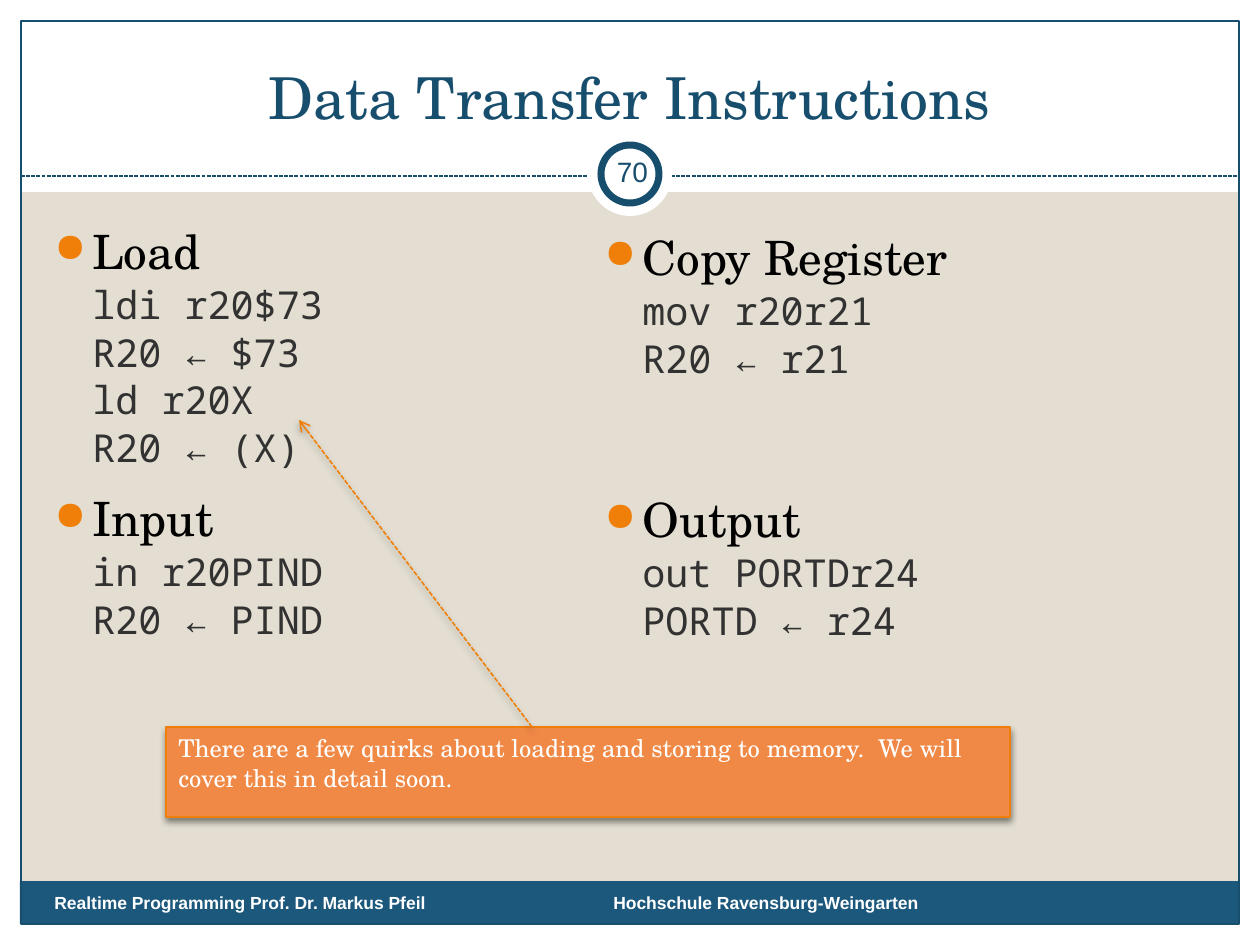
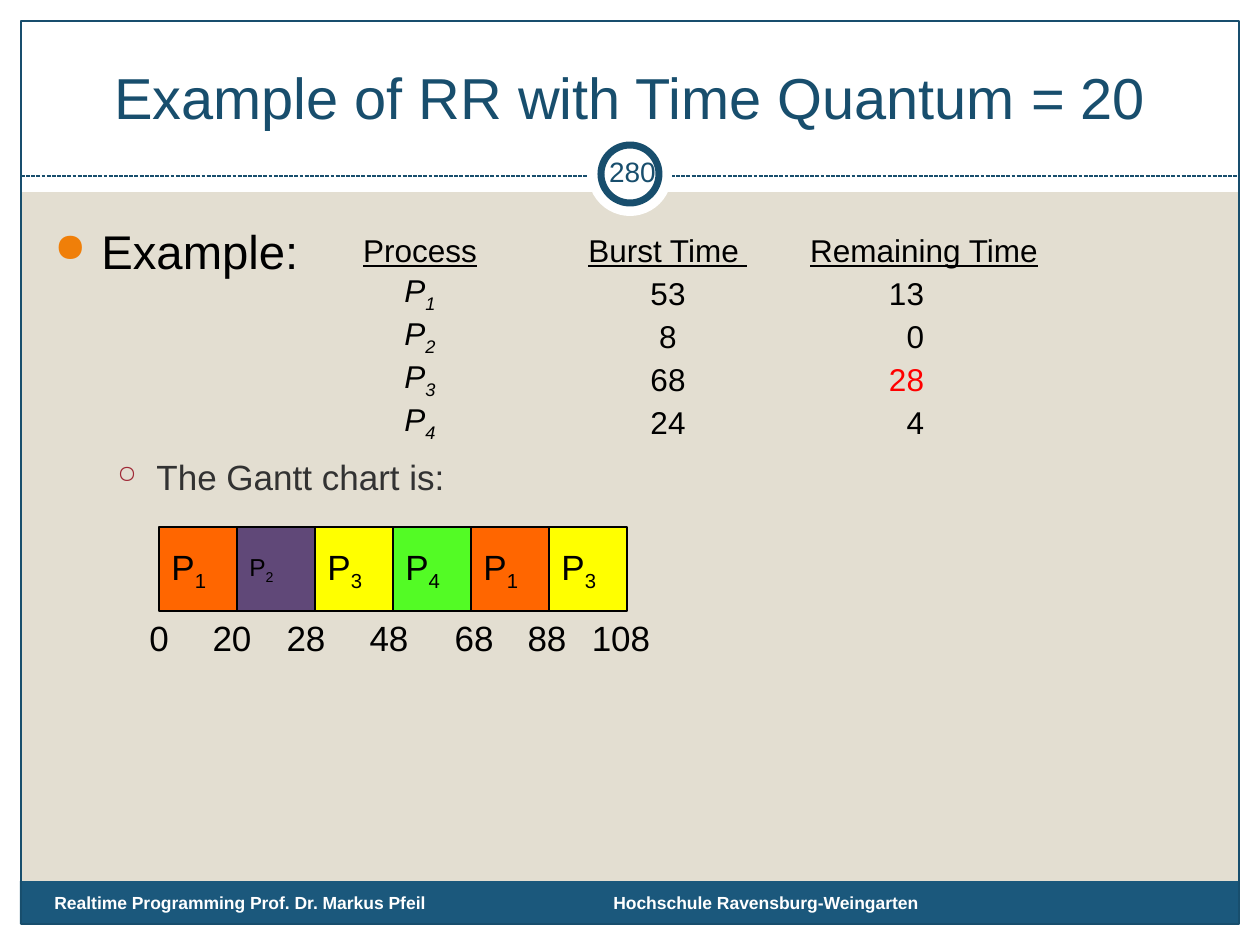
"""Build two lecture slides: data transfer instructions and a round-robin example."""
from lxml.etree import SubElement
from pptx import Presentation
from pptx.dml.color import RGBColor
from pptx.enum.dml import MSO_LINE
from pptx.enum.shapes import MSO_CONNECTOR, MSO_SHAPE
from pptx.enum.text import MSO_ANCHOR, PP_ALIGN
from pptx.oxml.ns import qn
from pptx.util import Emu, Pt

SANS, SERIF, MONO = "Arial", "TeX Gyre Schola", "Noto Sans Mono"
BLACK, WHITE, SAND = "000000", "FFFFFF", "E3DED1"
NAVY, FOOTER_BLUE, ORANGE = "184E6D", "1B587C", "F07F09"
BODY_GREY, DARK_RED, RED = "323232", "9F2936", "FF0000"

WIDTH, HEIGHT = 1260, 945
WHITE_BANDS = [(0, 924, WIDTH, 21), (0, 0, WIDTH, 192),
               (0, 0, 21, HEIGHT), (1239, 0, 21, HEIGHT)]
FOOTERS = [(42, "Realtime Programming Prof. Dr. Markus Pfeil"),
           (601, "Hochschule Ravensburg-Weingarten")]

INSTRUCTIONS = [
    (42, 216, "Load", ["ldi r20$73", "R20 ← $73", "ld r20X", "R20 ← (X)"]),
    (592, 222, "Copy Register", ["mov r20r21", "R20 ← r21"]),
    (42, 483, "Input", ["in r20PIND", "R20 ← PIND"]),
    (592, 484, "Output", ["out PORTDr24", "PORTD ← r24"]),
]
QUIRKS = ("There are a few quirks about loading and storing to memory.  "
          "We will cover this in detail soon.")

PROCESS_HEADS = ["Process", "Burst Time ", "Remaining Time"]
PROCESSES = [("P_1", "53", "13"), ("P_2", "8", "0"),
             ("P_3", "68", "28"), ("P_4", "24", "4")]
PROCESS_WIDTHS = [260, 236, 276]
HIGHLIGHT = "28"

GANTT = [("P_1", "FF6600", 20), ("P_2", "604878", 14), ("P_3", "FFFF00", 20),
         ("P_4", "53FB25", 20), ("P_1", "FF6600", 20), ("P_3", "FFFF00", 20)]
GANTT_TIMES = [("0", 159), ("20", 232), ("28", 306), ("48", 389),
               ("68", 474), ("88", 547), ("108", 621)]
GANTT_LEFT, GANTT_TOP, GANTT_STEP, GANTT_HEIGHT = 159, 527, 78, 84
NO_TABLE_STYLE = "{2D5ABB26-0587-4C30-8999-92F81FD0307C}"


def px(length):
    return Emu(round(length * 914400 / 126))


def rgb(color):
    return RGBColor.from_string(color)


def put(frame, text, size=20, color=BLACK, font=SANS, bold=False, italic=False,
        underline=False, align=PP_ALIGN.LEFT, before=0, margin=0, hang=0, bullet=None):
    """Add a paragraph; the part after an underscore becomes a subscript."""
    paragraph = frame.paragraphs[0]
    if paragraph.runs:
        paragraph = frame.add_paragraph()
    paragraph.alignment = align
    paragraph.space_before = Pt(before)
    props = paragraph._p.get_or_add_pPr()
    props.set("marL", str(px(margin)))
    props.set("indent", str(px(-hang)))
    if bullet:
        char, bullet_color, percent = bullet
        SubElement(SubElement(props, qn("a:buClr")), qn("a:srgbClr"), val=bullet_color)
        SubElement(props, qn("a:buSzPct"), val=str(percent * 1000))
        SubElement(props, qn("a:buChar"), char=char)
    for level, part in enumerate(text.split("_")):
        run = paragraph.add_run()
        run.text = part
        run.font.name, run.font.size = font, Pt(size)
        run.font.bold, run.font.italic, run.font.underline = bold, italic, underline
        run.font.color.rgb = rgb(color)
        if level:
            run._r.get_or_add_rPr().set("baseline", "-25000")


def text_area(slide, box, anchor=MSO_ANCHOR.TOP, wrap=True):
    frame = slide.shapes.add_textbox(*map(px, box)).text_frame
    frame.word_wrap, frame.vertical_anchor = wrap, anchor
    return frame


def add_preset(slide, box, fill=None, line=None, weight=0.75, kind=MSO_SHAPE.RECTANGLE):
    preset = slide.shapes.add_shape(kind, *map(px, box))
    preset.shadow.inherit = False
    if fill:
        preset.fill.solid()
        preset.fill.fore_color.rgb = rgb(fill)
    else:
        preset.fill.background()
    if line:
        preset.line.color.rgb = rgb(line)
        preset.line.width = Pt(weight)
    else:
        preset.line.fill.background()
    return preset


def add_dashed(slide, start, end, color, weight):
    dashed = slide.shapes.add_connector(MSO_CONNECTOR.STRAIGHT, *map(px, start + end))
    dashed.line.color.rgb = rgb(color)
    dashed.line.width = Pt(weight)
    dashed.line.dash_style = MSO_LINE.SQUARE_DOT
    SubElement(dashed._element.spPr, qn("a:effectLst"))
    return dashed


def cast_shadow(item, opacity):
    effects = item._element.spPr.find(qn("a:effectLst"))
    shadow = SubElement(effects, qn("a:outerShdw"), blurRad=str(Pt(4)), dist=str(Pt(2)),
                        dir="5400000", rotWithShape="0")
    tint = SubElement(shadow, qn("a:srgbClr"), val=BLACK)
    SubElement(tint, qn("a:alpha"), val=str(opacity * 1000))


def start_slide(deck, title, number, title_font):
    slide = deck.slides.add_slide(deck.slide_layouts[6])
    slide.background.fill.solid()
    slide.background.fill.fore_color.rgb = rgb(SAND)
    for band in WHITE_BANDS:
        add_preset(slide, band, WHITE)
    add_preset(slide, (20, 881, 1218, 43), FOOTER_BLUE)
    add_preset(slide, (21, 21, 1218, 903), line=NAVY)
    add_dashed(slide, (21, 176), (1239, 176), NAVY, 0.75)
    add_preset(slide, (588, 132, 84, 84), WHITE, kind=MSO_SHAPE.OVAL)
    add_preset(slide, (601, 145, 58, 58), WHITE, NAVY, 4, MSO_SHAPE.OVAL)
    put(text_area(slide, (42, 32, 1176, 105), MSO_ANCHOR.BOTTOM), title,
        size=33, color=NAVY, font=title_font, align=PP_ALIGN.CENTER)
    for left, footer in FOOTERS:
        put(text_area(slide, (left, 886, 494, 34)), footer, size=10, color=WHITE, bold=True)
    badge = text_area(slide, (601, 141, 63, 60), MSO_ANCHOR.MIDDLE)
    badge.margin_left = badge.margin_right = px(6)
    put(badge, number, size=16, color=NAVY, align=PP_ALIGN.CENTER)
    return slide


def build_instructions(deck):
    slide = start_slide(deck, "Data Transfer Instructions", "70", SERIF)
    for left, top, heading, code in INSTRUCTIONS:
        frame = text_area(slide, (left, top, 500, 60 + 54 * len(code)))
        put(frame, heading, size=27, font=SERIF, margin=38, hang=38,
            bullet=("●", ORANGE, 85))
        for statement in code:
            put(frame, statement, size=22, color=BODY_GREY, font=MONO, before=1, margin=38)
    callout = add_preset(slide, (166, 727, 844, 90), "F18946", ORANGE)
    cast_shadow(callout, 45)
    callout.text_frame.word_wrap = True
    callout.text_frame.vertical_anchor = MSO_ANCHOR.TOP
    put(callout.text_frame, QUIRKS, size=14, color=WHITE, font=SERIF)
    pointer = add_dashed(slide, (532, 727), (299, 420), ORANGE, 0.9)
    SubElement(pointer._element.spPr.find(qn("a:ln")), qn("a:tailEnd"), type="arrow")
    cast_shadow(pointer, 35)


def add_process_table(slide):
    rows = [PROCESS_HEADS, *PROCESSES]
    table = slide.shapes.add_table(len(rows), len(PROCESS_HEADS), px(290), px(230),
                                   px(sum(PROCESS_WIDTHS)), px(43 * len(rows))).table
    table.first_row = table.horz_banding = False
    table._tbl.tblPr.find(qn("a:tableStyleId")).text = NO_TABLE_STYLE
    for column, width in zip(table.columns, PROCESS_WIDTHS):
        column.width = px(width)
    for r, row in enumerate(rows):
        table.rows[r].height = px(43)
        for c, value in enumerate(row):
            cell = table.cell(r, c)
            cell.fill.background()
            cell.vertical_anchor = MSO_ANCHOR.MIDDLE
            cell.margin_top = cell.margin_bottom = cell.margin_left = cell.margin_right = 0
            remaining = r > 0 and c == 2
            if remaining:
                cell.margin_right = px(PROCESS_WIDTHS[c] / 2)
            put(cell.text_frame, value, size=18, underline=r == 0, italic=r > 0 and c == 0,
                color=RED if value == HIGHLIGHT else BLACK,
                align=PP_ALIGN.RIGHT if remaining else PP_ALIGN.CENTER)


def build_round_robin(deck):
    slide = start_slide(deck, "Example of RR with Time Quantum = 20", "280", SANS)
    put(text_area(slide, (42, 216, 290, 64)), "Example:", size=27,
        margin=47, hang=47, bullet=("●", ORANGE, 85))
    add_process_table(slide)
    put(text_area(slide, (42, 449, 600, 52)), "The Gantt chart is:", color=BODY_GREY,
        margin=102, hang=39, bullet=("○", DARK_RED, 70))
    for i, (process, fill, size) in enumerate(GANTT):
        box = (GANTT_LEFT + i * GANTT_STEP, GANTT_TOP, GANTT_STEP, GANTT_HEIGHT)
        slot = add_preset(slide, box, fill, BLACK)
        slot.text_frame.word_wrap = False
        put(slot.text_frame, process, size=size)
    for time, center in GANTT_TIMES:
        put(text_area(slide, (center - 42, 614, 84, 48), MSO_ANCHOR.MIDDLE), time,
            align=PP_ALIGN.CENTER)


def main():
    deck = Presentation()
    deck.slide_width, deck.slide_height = px(WIDTH), px(HEIGHT)
    build_instructions(deck)
    build_round_robin(deck)
    deck.save("out.pptx")


if __name__ == "__main__":
    main()
